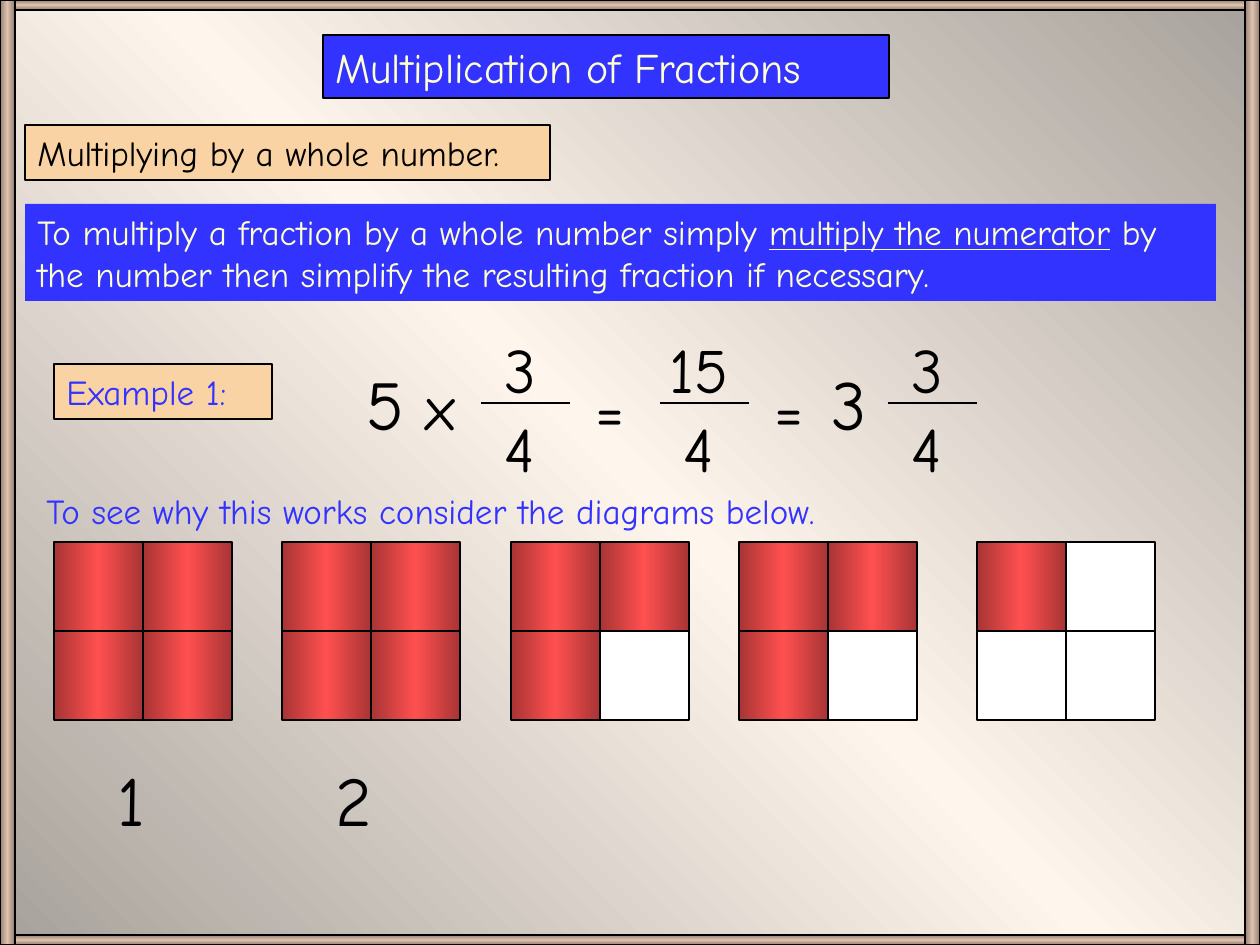
from copy import deepcopy

from pptx import Presentation
from pptx.dml.color import RGBColor
from pptx.enum.shapes import MSO_CONNECTOR, MSO_SHAPE
from pptx.enum.text import MSO_ANCHOR, MSO_AUTO_SIZE, PP_ALIGN
from pptx.oxml.ns import qn
from pptx.util import Pt
from lxml import etree

RECTANGLE = MSO_SHAPE.RECTANGLE
STRAIGHT = MSO_CONNECTOR.STRAIGHT
LEFT, CENTER = PP_ALIGN.LEFT, PP_ALIGN.CENTER
TOP = MSO_ANCHOR.TOP
GROW = MSO_AUTO_SIZE.SHAPE_TO_FIT_TEXT

FONT = "Comic Neue"
BLACK, WHITE = "000000", "FFFFFF"
BLUE, CREAM, PEACH = "3333FF", "FFFFCC", "FAD3A4"
BACKGROUND = ("A7A19B", "FEF5EC")
RED = ("A83434", "FF5050")
WOOD = ("927F72", "DEC1AE")

WIDTH, HEIGHT = 1260, 945
CELL = 89


def px(length):
    return round(length * 914400 / 126)


def color(value):
    return RGBColor.from_string(value)


def fill_gradient(fill, edge, middle, angle):
    """Fill from edge to middle and back; angle runs clockwise in degrees."""
    fill.gradient()
    first = fill.gradient_stops[0]._gs
    first.addnext(deepcopy(first))
    stops = zip(fill.gradient_stops, (0, 0.5, 1), (edge, middle, edge))
    for stop, position, value in stops:
        stop.position = position
        stop.color.rgb = color(value)
    fill.gradient_angle = (360 - angle) % 360


def add_box(slide, left, top, width, height, fill, angle=0, outlined=True):
    """Add a rectangle; a pair of colours as fill makes a gradient."""
    shape = slide.shapes.add_shape(RECTANGLE, px(left), px(top), px(width), px(height))
    shape.shadow.inherit = False
    if isinstance(fill, tuple):
        fill_gradient(shape.fill, *fill, angle)
    else:
        shape.fill.solid()
        shape.fill.fore_color.rgb = color(fill)
    if outlined:
        shape.line.color.rgb = color(BLACK)
        shape.line.width = Pt(0.75)
    else:
        shape.line.fill.background()
    return shape


def write(shape, runs, text_color=BLACK, align=LEFT):
    """Write runs given as (text, size, underlined)."""
    frame = shape.text_frame
    frame.word_wrap = True
    frame.auto_size = GROW
    frame.vertical_anchor = TOP
    paragraph = frame.paragraphs[0]
    paragraph.alignment = align
    for text, size, underlined in runs:
        run = paragraph.add_run()
        run.text = text
        run.font.name = FONT
        run.font.size = Pt(size)
        run.font.color.rgb = color(text_color)
        if underlined:
            run.font.underline = True


def add_text(slide, left, top, width, height, runs, text_color=BLACK, align=CENTER):
    shape = slide.shapes.add_textbox(px(left), px(top), px(width), px(height))
    write(shape, runs, text_color, align)


def add_fraction(slide, left, numerator, denominator):
    for text, top in ((numerator, 324), (denominator, 403)):
        add_text(slide, left, top, 118, 88, [(text, 36, False)])
    bar = slide.shapes.add_connector(
        STRAIGHT, px(left + 20), px(403), px(left + 109), px(403))
    bar.line.color.rgb = color(BLACK)
    bar.line.width = Pt(0.75)
    etree.SubElement(bar._element.spPr, qn("a:effectLst"))


def add_quarters(slide, left, shaded):
    """Add a square of four cells, the first ones shaded row by row."""
    for index in range(4):
        row, column = divmod(index, 2)
        add_box(slide, left + column * CELL, 542 + row * CELL, CELL, CELL,
                RED if index < shaded else WHITE)


def add_headings(slide):
    title = add_box(slide, 323, 35, 566, 63, BLUE)
    write(title, [("Multiplication of Fractions", 24, False)], CREAM)
    subtitle = add_box(slide, 25, 125, 525, 55, PEACH)
    write(subtitle, [("Multiplying by a whole number.", 20, False)])
    rule = add_box(slide, 25, 204, 1191, 97, BLUE, outlined=False)
    write(rule, [
        ("To multiply a fraction by a whole number simply ", 20, False),
        ("multiply the numerator", 20, True),
        (" by the number then simplify the resulting fraction if necessary.", 20, False),
    ], CREAM)


def add_example(slide):
    label = add_box(slide, 54, 364, 218, 55, PEACH)
    write(label, [("Example 1:", 20, False)], BLUE)
    add_text(slide, 312, 354, 198, 97, [("5", 40, False), (" x", 36, False)])
    add_text(slide, 750, 354, 198, 97, [("3", 40, False)])
    for left, numerator in ((461, "3"), (640, "15"), (868, "3")):
        add_fraction(slide, left, numerator, "4")
    for left in (541, 720):
        add_text(slide, left, 364, 139, 88, [("=", 36, False)])


def add_diagrams(slide):
    add_text(slide, 34, 483, 898, 55,
             [("To see why this works consider the diagrams below.", 20, False)],
             BLUE, LEFT)
    for left, shaded in ((54, 4), (282, 4), (511, 3), (739, 3), (977, 1)):
        add_quarters(slide, left, shaded)
    for left, count in ((105, "1"), (323, "2")):
        add_text(slide, left, 750, 79, 97, [(count, 40, False)], align=LEFT)


def add_frame(slide):
    for top in (0, HEIGHT - 10):
        add_box(slide, 0, top, WIDTH, 10, WOOD, 90)
    for left in (0, WIDTH - 15):
        add_box(slide, left, 0, 15, HEIGHT, WOOD, 180)


def main():
    presentation = Presentation()
    presentation.slide_width = px(WIDTH)
    presentation.slide_height = px(HEIGHT)
    slide = presentation.slides.add_slide(presentation.slide_layouts[6])
    fill_gradient(slide.background.fill, *BACKGROUND, 135)
    add_headings(slide)
    add_example(slide)
    add_diagrams(slide)
    add_frame(slide)
    presentation.save("out.pptx")


if __name__ == "__main__":
    main()
